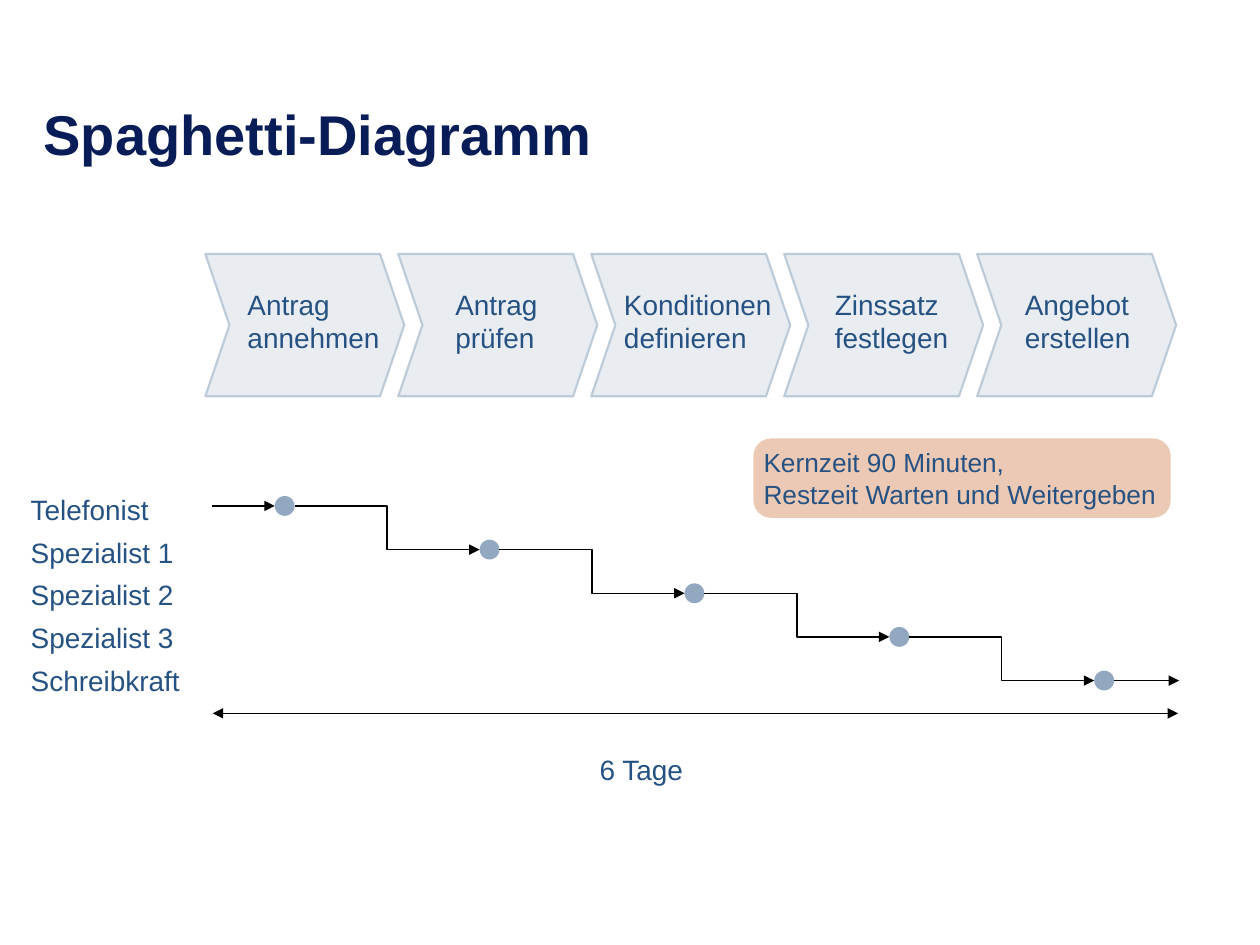
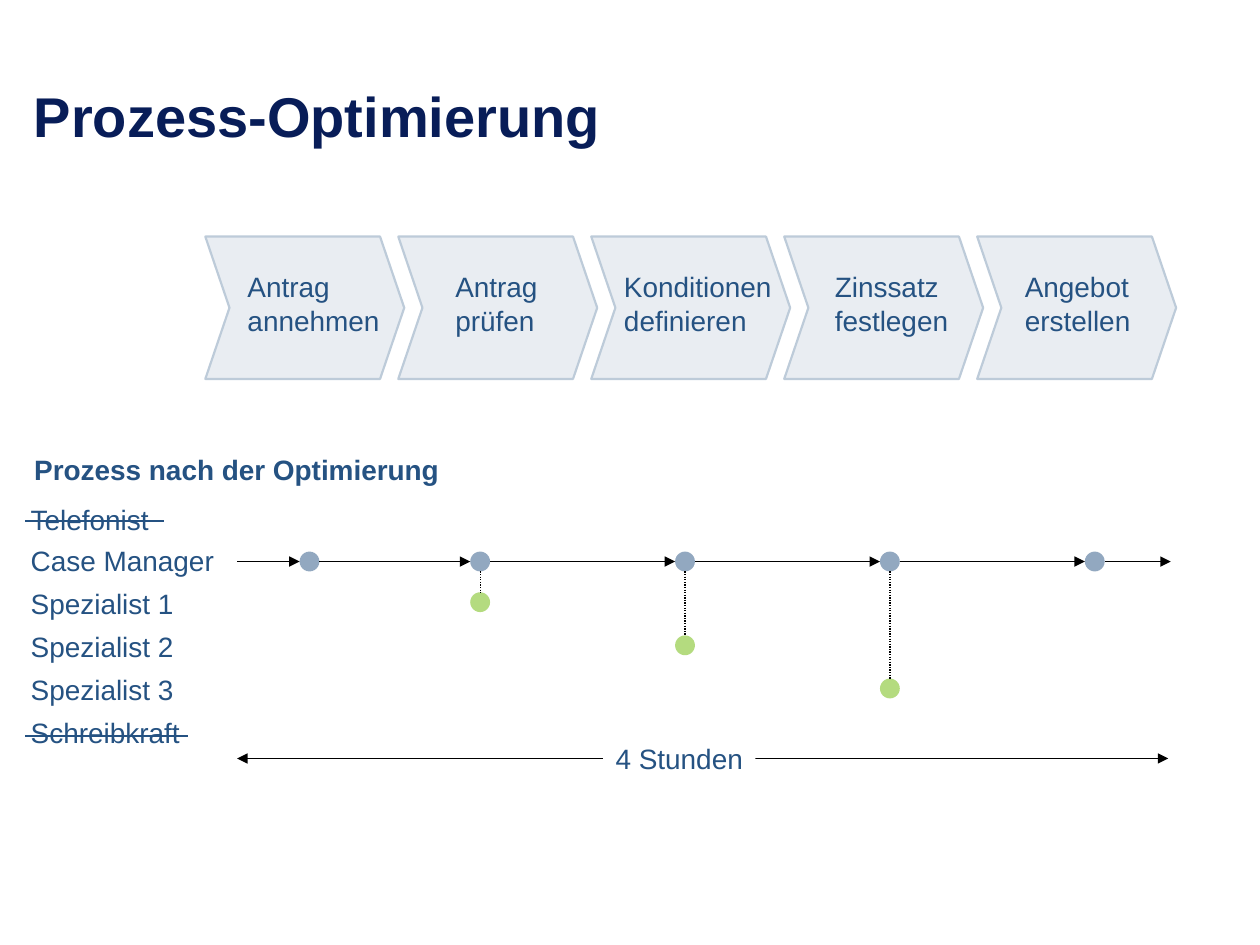
from lxml import etree
from pptx import Presentation
from pptx.dml.color import RGBColor
from pptx.enum.dml import MSO_LINE
from pptx.enum.shapes import MSO_CONNECTOR as Connector, MSO_SHAPE as Shape
from pptx.enum.text import MSO_ANCHOR as Anchor, MSO_AUTO_SIZE as AutoSize, PP_ALIGN as Align
from pptx.oxml.ns import qn
from pptx.util import Cm, Pt

FONT = "Arial"
NAVY = RGBColor(0x08, 0x1D, 0x58)
BLUE = RGBColor(0x25, 0x52, 0x82)
DOT_BLUE = RGBColor(0x92, 0xA8, 0xC0)
DOT_GREEN = RGBColor(0xB4, 0xDB, 0x7F)
CHEVRON_FILL = RGBColor(0xE9, 0xED, 0xF2)
CHEVRON_LINE = RGBColor(0xBD, 0xCB, 0xD9)
SALMON = RGBColor(0xEC, 0xC9, 0xB5)
BLACK = RGBColor(0, 0, 0)
WHITE = RGBColor(0xFF, 0xFF, 0xFF)

LABEL_MARGINS = (0.62, 0.3)
SMALL_MARGINS = (0.25, 0.13)
DOT = 0.4
RADIUS = DOT / 2
DOT_STEP = 4.13


def write_text(shape, lines, margins=LABEL_MARGINS, size=16, bold=False,
               color=BLUE, wrap=False, anchor=Anchor.TOP):
    """Fill a shape with left-aligned lines; margins are horizontal, vertical in cm."""
    frame = shape.text_frame
    frame.auto_size = AutoSize.NONE
    frame.word_wrap = wrap
    frame.vertical_anchor = anchor
    frame.margin_left = frame.margin_right = Cm(margins[0])
    frame.margin_top = frame.margin_bottom = Cm(margins[1])
    for index, line in enumerate(lines):
        paragraph = frame.add_paragraph() if index else frame.paragraphs[0]
        paragraph.alignment = Align.LEFT
        run = paragraph.add_run()
        run.text = line
        run.font.name = FONT
        run.font.size = Pt(size)
        run.font.bold = bold
        run.font.color.rgb = color


def add_line(slide, start, end, kind=Connector.STRAIGHT, color=BLACK, width=0.75, arrows=()):
    """Draw a connector between two points in cm; arrows holds headEnd and/or tailEnd."""
    connector = slide.shapes.add_connector(kind, *map(Cm, start + end))
    connector.line.color.rgb = color
    connector.line.width = Pt(width)
    for arrow in arrows:
        etree.SubElement(connector.line._get_or_add_ln(), qn("a:" + arrow), type="triangle")
    etree.SubElement(connector._element.spPr, qn("a:effectLst"))
    return connector


presentation = Presentation()
presentation.slide_width, presentation.slide_height = Cm(25.4), Cm(19.05)

# Shared by both slides: title and process chain
STEPS = [  # text lines, label left, label width
    (["Antrag", "annehmen"], 4.37, 3.91),
    (["Antrag", "prüfen"], 8.56, 2.9),
    (["Konditionen", "definieren"], 11.96, 4.22),
    (["Zinssatz", "festlegen"], 16.21, 3.53),
    (["Angebot", "erstellen"], 20.04, 3.38),
]
HEADERS = [  # title, title left, title top, title margin, chain top
    ("Spaghetti-Diagramm", 0, 0.71, 0.88, 5.12),
    ("Prozess-Optimierung", 0.43, 0.33, 0.25, 4.77),
]
for title_text, left, top, margin, chain_top in HEADERS:
    slide = presentation.slides.add_slide(presentation.slide_layouts[5])
    title = slide.shapes.title
    title.left, title.top, title.width, title.height = Cm(left), Cm(top), Cm(24.49), Cm(2.79)
    write_text(title, [title_text], (margin, 0.13), 32, True, NAVY, True, Anchor.BOTTOM)
    for index in range(len(STEPS)):
        chevron = slide.shapes.add_shape(
            Shape.CHEVRON, Cm(4.14 + 3.89 * index), Cm(chain_top), Cm(4.01), Cm(2.87))
        chevron.adjustments[0] = 0.17
        chevron.shadow.inherit = False
        chevron.fill.solid()
        chevron.fill.fore_color.rgb = CHEVRON_FILL
        chevron.line.color.rgb = CHEVRON_LINE
        chevron.line.width = Pt(1.25)
    for lines, left, width in STEPS:
        label = slide.shapes.add_textbox(Cm(left), Cm(chain_top + 0.37), Cm(width), Cm(1.98))
        write_text(label, lines)

spaghetti, optimized = presentation.slides

# Roles down the left side of both slides
ROLE_WIDTHS = {"Telefonist": 3.7, "Case Manager": 4.95, "Spezialist 1": 4.13,
               "Spezialist 2": 4.13, "Spezialist 3": 4.13, "Schreibkraft": 4.26}
ROLE_GROUPS = [  # slide, top of first role, step, roles
    (spaghetti, 9.63, 0.86,
     ["Telefonist", "Spezialist 1", "Spezialist 2", "Spezialist 3", "Schreibkraft"]),
    (optimized, 9.83, 0, ["Telefonist"]),
    (optimized, 10.65, 0.87,
     ["Case Manager", "Spezialist 1", "Spezialist 2", "Spezialist 3", "Schreibkraft"]),
]
for slide, first_top, step, roles in ROLE_GROUPS:
    for index, role in enumerate(roles):
        label = slide.shapes.add_textbox(
            Cm(0), Cm(first_top + step * index), Cm(ROLE_WIDTHS[role]), Cm(1.3))
        write_text(label, [role])

# Dots: a staircase before, one line with consultations after
stairs = [(5.74 + DOT_STEP * index, 10.2 + 0.88 * index) for index in range(5)]
manager_y = 11.32
manager_xs = [6.24] + [9.68 + DOT_STEP * index for index in range(4)]
manager = [(x, manager_y) for x in manager_xs]
consulted = [(x, 12.14 + 0.87 * index) for index, x in enumerate(manager_xs[1:4])]
for slide, centers, color in [(spaghetti, stairs, DOT_BLUE),
                              (optimized, manager, DOT_BLUE),
                              (optimized, consulted, DOT_GREEN)]:
    for x, y in centers:
        dot = slide.shapes.add_shape(
            Shape.OVAL, Cm(x - RADIUS), Cm(y - RADIUS), Cm(DOT), Cm(DOT))
        dot.shadow.inherit = False
        dot.fill.solid()
        dot.fill.fore_color.rgb = color
        dot.line.fill.background()

# Slide 1: path from role to role
for (x, y), (next_x, next_y) in zip(stairs, stairs[1:]):
    add_line(spaghetti, (x + RADIUS, y), (next_x - RADIUS, next_y),
             Connector.ELBOW, arrows=["tailEnd"])
first_x, first_y = stairs[0]
last_x, last_y = stairs[-1]
add_line(spaghetti, (4.27, first_y), (first_x - RADIUS, first_y), arrows=["tailEnd"])
add_line(spaghetti, (last_x + RADIUS, last_y), (23.77, last_y), arrows=["tailEnd"])

# Slide 1: duration and remark
add_line(spaghetti, (4.29, 14.38), (23.75, 14.38), arrows=["headEnd", "tailEnd"])
duration = spaghetti.shapes.add_textbox(Cm(11.84), Cm(15.04), Cm(2.26), Cm(0.94))
write_text(duration, ["6 Tage"], SMALL_MARGINS)
remark = spaghetti.shapes.add_shape(
    Shape.ROUNDED_RECTANGLE, Cm(15.19), Cm(8.84), Cm(8.41), Cm(1.6))
remark.adjustments[0] = 0.22
remark.shadow.inherit = False
remark.fill.solid()
remark.fill.fore_color.rgb = SALMON
remark.line.fill.background()
write_text(remark, ["Kernzeit 90 Minuten,", "Restzeit Warten und Weitergeben"],
           (0.1, 0), 15, anchor=Anchor.MIDDLE)

# Slide 2: heading and roles struck out
heading = optimized.shapes.add_textbox(Cm(0.69), Cm(9.12), Cm(9.53), Cm(0.69))
write_text(heading, ["Prozess nach der Optimierung"], (0, 0), bold=True, wrap=True)
for right, y in [(3.3, 10.51), (3.78, 14.83)]:
    add_line(optimized, (0.51, y), (right, y), color=BLUE, width=1.25)

# Slide 2: path of the case manager and consultations
starts = [4.78] + [x + RADIUS for x in manager_xs]
ends = [x - RADIUS for x in manager_xs] + [23.6]
for start_x, end_x in zip(starts, ends):
    add_line(optimized, (start_x, manager_y), (end_x, manager_y), arrows=["tailEnd"])
for x, y in consulted:
    consultation = add_line(optimized, (x, manager_y + RADIUS), (x, y - RADIUS))
    consultation.line.dash_style = MSO_LINE.ROUND_DOT

# Slide 2: duration on its line
add_line(optimized, (4.78, 15.29), (23.55, 15.29), arrows=["headEnd", "tailEnd"])
duration = optimized.shapes.add_textbox(Cm(12.16), Cm(14.82), Cm(3.07), Cm(0.94))
duration.fill.solid()
duration.fill.fore_color.rgb = WHITE
write_text(duration, ["4 Stunden"], SMALL_MARGINS)

presentation.save("out.pptx")
